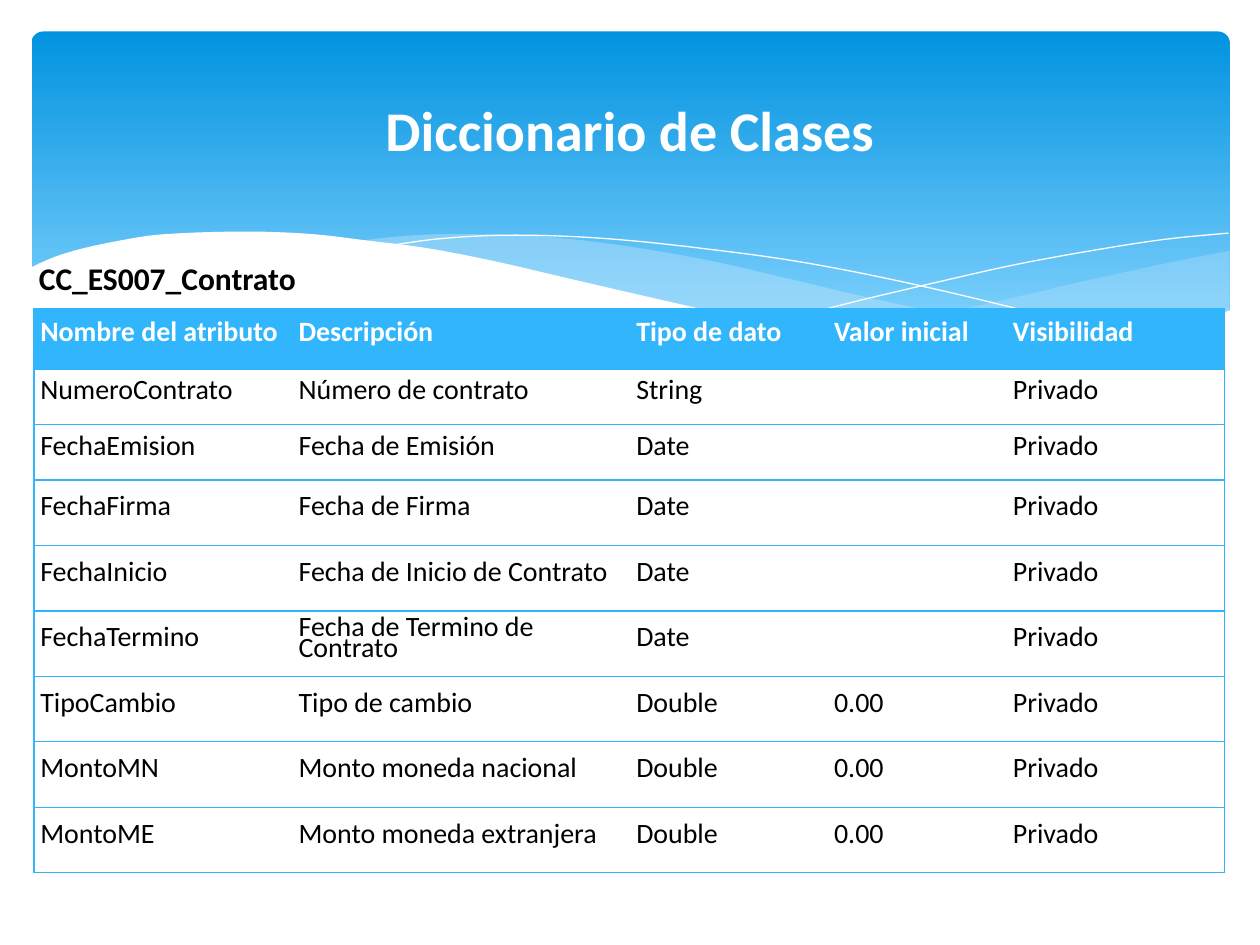
from lxml import etree
from pptx import Presentation
from pptx.dml.color import RGBColor
from pptx.enum.shapes import MSO_SHAPE
from pptx.enum.text import MSO_ANCHOR, PP_ALIGN
from pptx.oxml.ns import qn
from pptx.util import Pt

PX = 9144
ROUNDED = MSO_SHAPE.ROUNDED_RECTANGLE
MIDDLE, TOP = MSO_ANCHOR.MIDDLE, MSO_ANCHOR.TOP
CENTER, LEFT = PP_ALIGN.CENTER, PP_ALIGN.LEFT
BLUE, PALE, WHITE, BLACK = "31B6FD", "C6E7FC", "FFFFFF", "000000"

COLUMNS = [205, 268, 157, 142, 173]
ROW_HEIGHTS = [48, 44, 44] + [52] * 6
HEADER = ["Nombre del atributo", "Descripción", "Tipo de dato", "Valor inicial", "Visibilidad"]
ATTRIBUTES = [
    ("NumeroContrato", "Número de contrato", "String", ""),
    ("FechaEmision", "Fecha de Emisión", "Date", ""),
    ("FechaFirma", "Fecha de Firma", "Date", ""),
    ("FechaInicio", "Fecha de Inicio de Contrato", "Date", ""),
    ("FechaTermino", "Fecha de Termino de Contrato", "Date", ""),
    ("TipoCambio", "Tipo de cambio", "Double", "0.00"),
    ("MontoMN", "Monto moneda nacional", "Double", "0.00"),
    ("MontoME", "Monto moneda extranjera", "Double", "0.00"),
]

RIGHT_WAVE = [
    [(976, 199), (935, 207), (861, 223), (779, 242), (706, 257), (661, 265)],
    [(661, 265), (718, 272), (769, 277), (814, 278), (854, 276), (889, 272), (921, 265),
     (949, 257), (976, 247)],
]
MIDDLE_WAVE = [
    [(893, 273), (837, 265), (775, 254), (706, 240), (629, 222), (569, 208), (514, 198),
     (465, 191), (420, 187), (380, 186), (344, 186), (313, 188), (286, 191)],
    [(286, 191), (342, 199), (404, 211), (449, 222), (530, 240), (601, 255), (665, 266),
     (722, 274), (773, 277), (818, 278), (857, 277), (893, 273)],
]
FALLING_LINE = [[(309, 195), (344, 190), (387, 187), (433, 187), (489, 190), (556, 197),
                 (636, 208), (727, 226), (831, 251), (907, 272)]]
RISING_LINE = [[(613, 257), (672, 241), (748, 223), (806, 210), (866, 199), (924, 190), (975, 185)]]
WHITE_WAVE = [
    [(977, 246), (940, 259), (899, 269), (850, 275), (809, 277), (761, 275), (708, 270),
     (647, 262), (579, 250), (503, 233), (447, 220), (391, 207), (339, 197), (292, 191),
     (250, 186), (211, 184), (177, 184), (146, 185), (119, 187), (95, 191), (75, 195),
     (59, 199), (46, 203), (36, 207), (23, 213)],
    [(23, 329), (977, 329)],
]


def color(value):
    """Turn a hex string into a colour."""
    return RGBColor.from_string(value)


def lengths(*values):
    """Turn px values into EMU."""
    return [round(value * PX) for value in values]


def assign(target, values):
    """Set attributes of an object from a dict."""
    for name, value in values.items():
        setattr(target, name, value)


def write(frame, text, size, ink, bold, align=LEFT, spacing=None):
    """Write one formatted paragraph into a text frame."""
    para = frame.paragraphs[0]
    assign(para, {"alignment": align, "line_spacing": spacing})
    span = para.add_run()
    span.text = text
    assign(span.font, {"name": "Calibri", "size": Pt(size), "bold": bold})
    span.font.color.rgb = color(ink)


def smooth(knots, steps=6):
    """Return points of a Catmull-Rom curve through the knots."""
    if len(knots) < 3:
        return knots
    padded = [knots[0], *knots, knots[-1]]
    points = []
    for a, b, c, d in zip(padded, padded[1:], padded[2:], padded[3:]):
        for step in range(steps):
            t = step / steps
            points.append(tuple(
                (2 * q + (r - p) * t + (2 * p - 5 * q + 4 * r - s) * t ** 2
                 + (3 * q - p - 3 * r + s) * t ** 3) / 2
                for p, q, r, s in zip(a, b, c, d)))
    return points + [knots[-1]]


def add_wave(page, edges, fill=None, opacity=100):
    """Draw a filled wave, or a thin white curve when no fill is given."""
    points = [lengths(*point) for edge in edges for point in smooth(edge)]
    builder = page.shapes.build_freeform(*points[0])
    builder.add_line_segments(points[1:], close=fill is not None)
    wave = builder.convert_to_shape()
    wave.shadow.inherit = False
    if fill is None:
        wave.fill.background()
        wave.line.color.rgb = color(WHITE)
        wave.line.width = Pt(0)
        return
    wave.fill.solid()
    wave.fill.fore_color.rgb = color(fill)
    wave.line.fill.background()
    if opacity < 100:
        tone = wave.element.spPr.find(qn("a:solidFill")).find(qn("a:srgbClr"))
        etree.SubElement(tone, qn("a:alpha")).set("val", str(opacity * 1000))


def add_banner(page):
    """Draw the gradient banner behind the title."""
    banner = page.shapes.add_shape(ROUNDED, *lengths(25, 25, 951, 270))
    banner.adjustments[0] = 0.034
    banner.shadow.inherit = False
    banner.line.fill.background()
    banner.fill.gradient()
    banner.fill.gradient_angle = 270
    for stop, place, tone in zip(banner.fill.gradient_stops, (0, 0.9), ("0293E0", "83D3FE")):
        stop.position = place
        stop.color.rgb = color(tone)


def add_title(page, text):
    """Place the title on top of the banner."""
    title = page.shapes.title
    page.shapes.element.append(title.element)
    assign(title, dict(zip(("left", "top", "width", "height"), lengths(50, 37, 900, 137))))
    assign(title.text_frame, {"vertical_anchor": MIDDLE, "word_wrap": True})
    write(title.text_frame, text, 32, WHITE, True, CENTER, 0.9)


def add_label(page, text):
    """Add the class name above the table."""
    box = page.shapes.add_textbox(*lengths(21, 201, 465, 40))
    assign(box.text_frame, {"word_wrap": True, "vertical_anchor": TOP})
    write(box.text_frame, text, 18, BLACK, True)


def set_borders(cell, sides):
    """Draw the named sides of a cell and clear the others."""
    properties = cell._tc.get_or_add_tcPr()
    for side in "LRTB":
        line = etree.SubElement(properties, qn("a:ln" + side), w=str(Pt(0.75)))
        if side in sides:
            fill = etree.SubElement(line, qn("a:solidFill"))
            etree.SubElement(fill, qn("a:srgbClr"), val=BLUE)
        else:
            etree.SubElement(line, qn("a:noFill"))


def add_attribute_table(page):
    """Add the table of class attributes."""
    rows = [HEADER] + [(*attribute, "Privado") for attribute in ATTRIBUTES]
    place = lengths(27, 245, sum(COLUMNS), sum(ROW_HEIGHTS))
    table = page.shapes.add_table(len(rows), len(COLUMNS), *place).table
    assign(table, {"first_row": False, "horz_banding": False})
    for column, width in zip(table.columns, COLUMNS):
        column.width = width * PX
    margins = dict(zip(("margin_left", "margin_top", "margin_right", "margin_bottom"),
                       lengths(5, 0, 5, 0)))
    for index, (row, height, texts) in enumerate(zip(table.rows, ROW_HEIGHTS, rows)):
        row.height = height * PX
        header = index == 0
        for number, (cell, text) in enumerate(zip(row.cells, texts)):
            edge = {0: "L", len(COLUMNS) - 1: "R"}.get(number, "")
            set_borders(cell, "TB" + edge)
            assign(cell, {"vertical_anchor": MIDDLE, **margins})
            if header:
                cell.fill.solid()
                cell.fill.fore_color.rgb = color(BLUE)
            else:
                cell.fill.background()
            if text:
                write(cell.text_frame, text, 16, WHITE if header else BLACK, header,
                      spacing=Pt(12))


def main():
    """Build the class dictionary slide."""
    deck = Presentation()
    assign(deck, dict(zip(("slide_width", "slide_height"), lengths(1000, 750))))
    page = deck.slides.add_slide(deck.slide_layouts[5])
    add_banner(page)
    add_wave(page, RIGHT_WAVE, PALE, 29)
    add_wave(page, MIDDLE_WAVE, PALE, 40)
    add_wave(page, FALLING_LINE)
    add_wave(page, RISING_LINE)
    add_wave(page, WHITE_WAVE, WHITE)
    add_title(page, "Diccionario de Clases")
    add_label(page, "CC_ES007_Contrato")
    add_attribute_table(page)
    deck.save("out.pptx")


if __name__ == "__main__":
    main()
